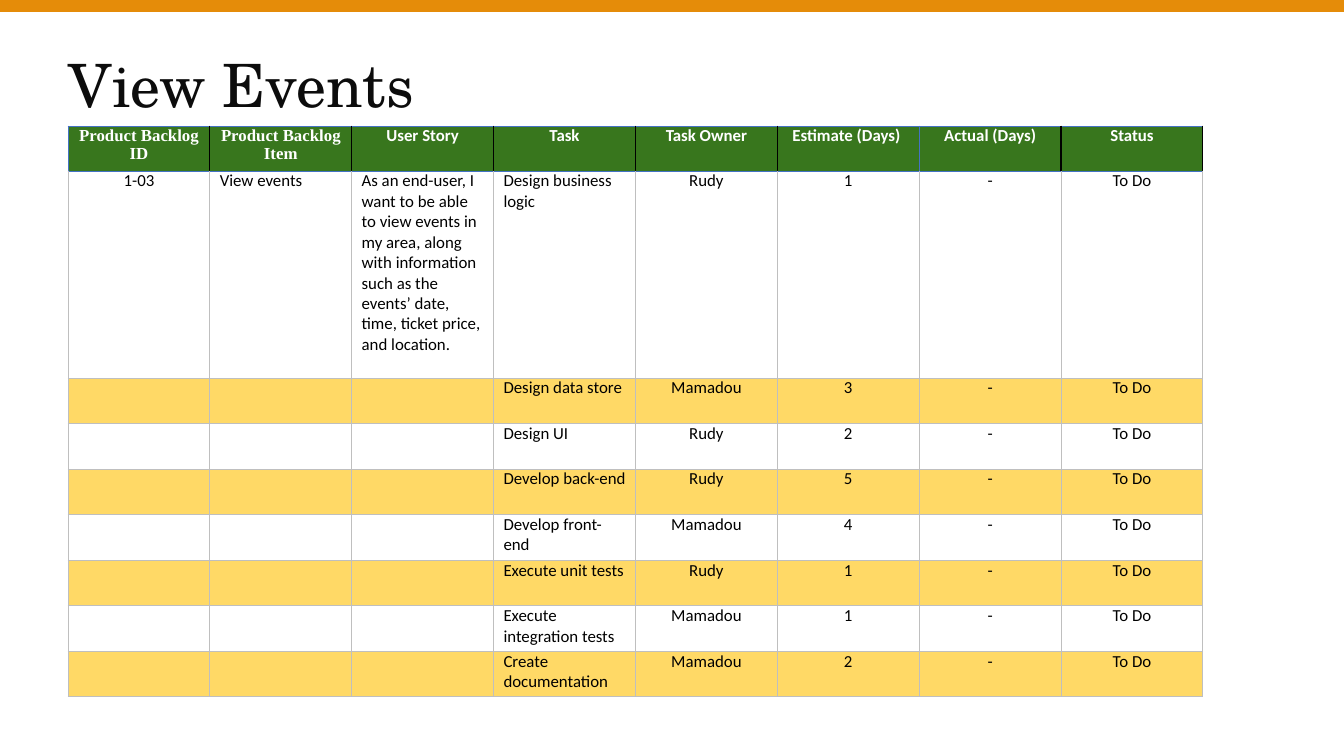
"""Build the View Events sprint backlog slide."""
import pptx
import pptx.dml.color
import pptx.enum.shapes
import pptx.enum.text
import pptx.oxml
import pptx.oxml.ns
import pptx.util

TITLE = "View Events"
HEADERS = ["Product Backlog ID", "Product Backlog Item", "User Story", "Task",
           "Task Owner", "Estimate (Days) ", "Actual (Days)", "Status"]
STORY = ("1-03", "View events",
         "As an end-user, I want to be able to view events in my area, along with "
         "information such as the events’ date, time, ticket price, and location.")
TASKS = [
    ("Design business logic", "Rudy", 1),
    ("Design data store", "Mamadou", 3),
    ("Design UI", "Rudy", 2),
    ("Develop back-end", "Rudy", 5),
    ("Develop front-end", "Mamadou", 4),
    ("Execute unit tests", "Rudy", 1),
    ("Execute integration tests", "Mamadou", 1),
    ("Create documentation", "Mamadou", 2),
]
ACTUAL, STATUS = "-", "To Do"
LEFT_COLUMNS = {1, 2, 3}
SERIF_HEADERS = {0, 1}

WHITE, BLACK, INK = "FFFFFF", "000000", "0C0C0C"
ORANGE, GREEN, YELLOW = "E58C09", "38761D", "FFD966"
GRAY_LINE, BLUE_LINE, BLACK_LINE = ("BFBFBF", 0.5), ("4472C4", 0.5), (BLACK, 0.75)
HEADER_EDGES = [BLUE_LINE] + [BLACK_LINE] * 5 + [BLUE_LINE] + [BLACK_LINE] * 2

SCALE = 914400 / 134.4
SLIDE_WIDTH, SLIDE_HEIGHT = 1344, 756
TABLE_LEFT, TABLE_TOP, TABLE_WIDTH = 68, 126, 1135
HEADER_HEIGHT, STORY_HEIGHT, TASKS_HEIGHT = 45, 207, 319


def px(length):
    return pptx.util.Emu(round(length * SCALE))


def rgb(color):
    return pptx.dml.color.RGBColor.from_string(color)


def set_font(paragraph, name, size, color, bold=False):
    font = paragraph.font
    font.name, font.size, font.bold = name, pptx.util.Pt(size), bold
    font.color.rgb = rgb(color)


def set_borders(cell, left, right, top, bottom):
    properties = cell._tc.get_or_add_tcPr()
    for side, (color, width) in zip("LRTB", (left, right, top, bottom)):
        properties.append(pptx.oxml.parse_xml(
            f'<a:ln{side} {pptx.oxml.ns.nsdecls("a")} w="{pptx.util.Pt(width)}">'
            f'<a:solidFill><a:srgbClr val="{color}"/></a:solidFill></a:ln{side}>'))


def fill_cell(cell, text, row, column):
    header = row == 0
    if header:
        set_borders(cell, *HEADER_EDGES[column:column + 2], BLUE_LINE, BLUE_LINE)
    else:
        set_borders(cell, GRAY_LINE, GRAY_LINE, BLUE_LINE if row == 1 else GRAY_LINE, GRAY_LINE)
    if header or row % 2 == 0:
        cell.fill.solid()
        cell.fill.fore_color.rgb = rgb(GREEN if header else YELLOW)
    else:
        cell.fill.background()
    cell.margin_left = cell.margin_right = px(10)
    cell.margin_top = cell.margin_bottom = 0
    cell.text = str(text)
    paragraph = cell.text_frame.paragraphs[0]
    align = pptx.enum.text.PP_ALIGN
    paragraph.alignment = align.LEFT if not header and column in LEFT_COLUMNS else align.CENTER
    font_name = "Times New Roman" if header and column in SERIF_HEADERS else "Calibri"
    set_font(paragraph, font_name, 9, WHITE if header else BLACK, header)


def add_bar(slide):
    bar = slide.shapes.add_shape(
        pptx.enum.shapes.MSO_SHAPE.RECTANGLE, 0, 0, px(SLIDE_WIDTH), px(12))
    bar.shadow.inherit = False
    bar.fill.solid()
    bar.fill.fore_color.rgb = rgb(ORANGE)
    bar.line.fill.background()


def add_title(slide):
    frame = slide.shapes.add_textbox(px(60), px(60), px(1224), px(57)).text_frame
    frame.word_wrap = True
    frame.vertical_anchor = pptx.enum.text.MSO_ANCHOR.MIDDLE
    frame.margin_left = frame.margin_right = px(9)
    frame.margin_top = frame.margin_bottom = px(5)
    paragraph = frame.paragraphs[0]
    paragraph.text = TITLE
    paragraph.line_spacing = 0.9
    set_font(paragraph, "TeX Gyre Schola", 32, INK)


def add_backlog(slide):
    rows = [HEADERS]
    for index, task in enumerate(TASKS):
        story = STORY if index == 0 else ("",) * len(STORY)
        rows.append([*story, *task, ACTUAL, STATUS])
    later_tasks = len(TASKS) - 1
    heights = [HEADER_HEIGHT, STORY_HEIGHT] + [TASKS_HEIGHT / later_tasks] * later_tasks
    table = slide.shapes.add_table(
        len(rows), len(HEADERS), px(TABLE_LEFT), px(TABLE_TOP),
        px(TABLE_WIDTH), px(sum(heights))).table
    table.first_row = table.horz_banding = False
    for column in table.columns:
        column.width = px(TABLE_WIDTH / len(HEADERS))
    for row, (texts, height) in enumerate(zip(rows, heights)):
        table.rows[row].height = px(height)
        for column, text in enumerate(texts):
            fill_cell(table.cell(row, column), text, row, column)


def main():
    presentation = pptx.Presentation()
    presentation.slide_width, presentation.slide_height = px(SLIDE_WIDTH), px(SLIDE_HEIGHT)
    slide = presentation.slides.add_slide(presentation.slide_layouts[6])
    add_bar(slide)
    add_title(slide)
    add_backlog(slide)
    presentation.save("out.pptx")


if __name__ == "__main__":
    main()
